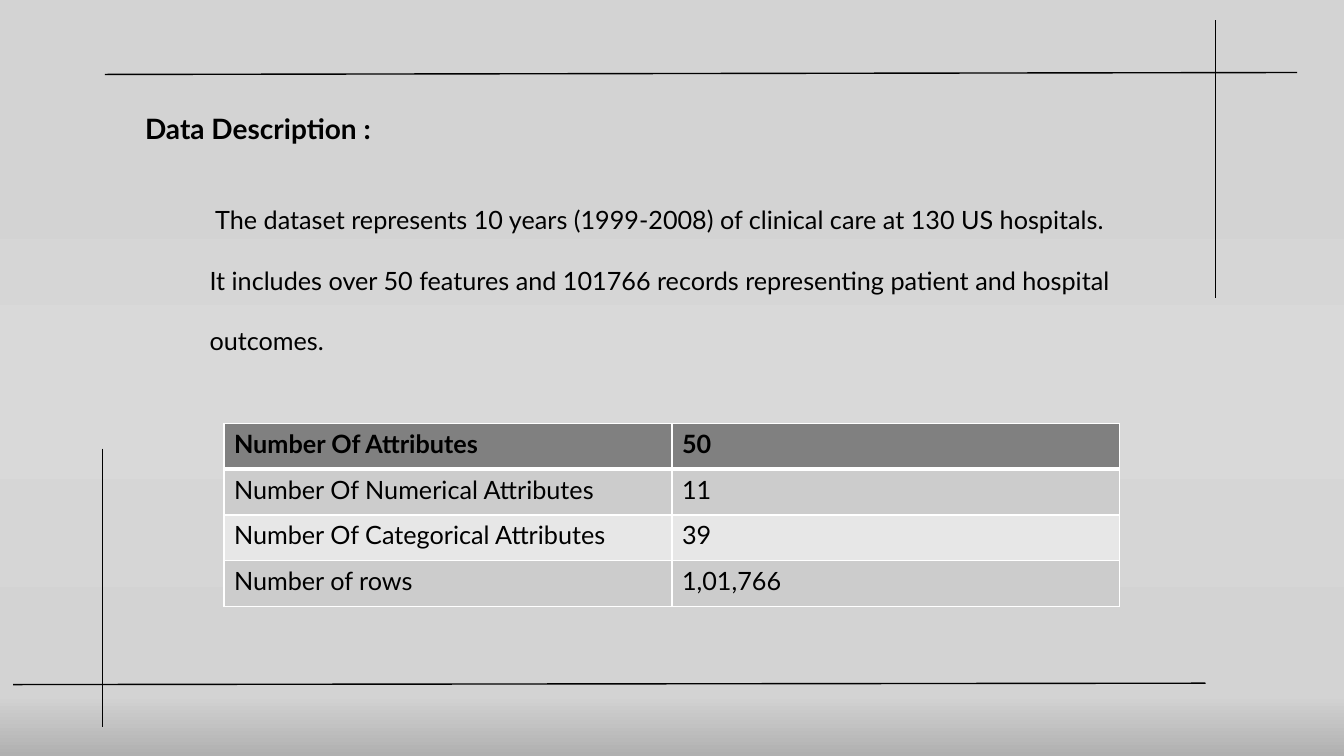
from lxml.etree import SubElement
from pptx import Presentation
from pptx.dml.color import RGBColor
from pptx.enum.shapes import MSO_CONNECTOR
from pptx.enum.text import MSO_AUTO_SIZE
from pptx.oxml.ns import qn
from pptx.util import Pt


def color(hex_code):
    return RGBColor.from_string(hex_code)


def write(frame, lines, size, bold=False, spacing=None):
    frame.text = "\n".join(lines)
    for paragraph in frame.paragraphs:
        paragraph.line_spacing = spacing
        paragraph.font.name = "Lato"
        paragraph.font.size = Pt(size)
        paragraph.font.bold = bold
        paragraph.font.color.rgb = color("000000")


deck = Presentation()
deck.slide_width, deck.slide_height = Pt(960), Pt(540)
slide = deck.slides.add_slide(deck.slide_layouts[6])

slide.background.fill.gradient()
backdrop = next(slide.element.iter(qn("a:gradFill")))
stops = backdrop.find(qn("a:gsLst"))
for stop in list(stops):
    stops.remove(stop)
for percent, shade in [(23, "D3D3D3"), (49, "D9D9D9"), (92, "D3D3D3"), (100, "B0B0B0")]:
    stop = SubElement(stops, qn("a:gs"), pos=str(percent * 1000))
    SubElement(stop, qn("a:srgbClr"), val=shade)
backdrop.find(qn("a:lin")).set("ang", "5400000")

heading = ["Data Description :"]
summary = [
    "\u00a0The dataset represents 10 years (1999-2008) of clinical care at 130 US hospitals. \u00a0",
    "It includes over 50 features and 101766 records representing patient and hospital ",
    "outcomes.",
]
for box, lines, size, bold, spacing in [
    ((96.5, 76.3, 183.6, 31.7), heading, 20, True, None),
    ((142.6, 121, 686.9, 181.4), summary, 18, False, 2.0),
]:
    frame = slide.shapes.add_textbox(*map(Pt, box)).text_frame
    frame.word_wrap = False
    frame.auto_size = MSO_AUTO_SIZE.SHAPE_TO_FIT_TEXT
    write(frame, lines, size, bold, spacing)

counts = [
    ("Number Of Attributes", "50"),
    ("Number Of Numerical Attributes", "11"),
    ("Number Of Categorical Attributes", "39"),
    ("Number of rows", "1,01,766"),
]
row_fills = ["808080", "CCCCCC", "E7E7E7", "CCCCCC"]
table = slide.shapes.add_table(
    len(counts), 2, Pt(160), Pt(302.4), Pt(640), Pt(131)
).table
for row, (values, row_fill) in enumerate(zip(counts, row_fills)):
    for column, value in enumerate(values):
        cell = table.cell(row, column)
        write(cell.text_frame, [value], 18, bold=row == 0)
        properties = cell._tc.get_or_add_tcPr()
        for side in "LRTB":
            heavy = (row, side) in [(0, "B"), (1, "T")]
            border = SubElement(
                properties, qn(f"a:ln{side}"), w=str(Pt(3 if heavy else 1))
            )
            SubElement(SubElement(border, qn("a:solidFill")), qn("a:srgbClr"), val="FFFFFF")
        cell.fill.solid()
        cell.fill.fore_color.rgb = color(row_fill)

for ends in [
    (74.9, 53.2, 926.6, 51.8),
    (868.3, 14.4, 868.3, 213.1),
    (73.4, 320.4, 73.4, 519.1),
    (9.4, 489, 861.1, 488),
]:
    rule = slide.shapes.add_connector(MSO_CONNECTOR.STRAIGHT, *map(Pt, ends))
    rule.line.width = Pt(1)
    rule.line.color.rgb = color("000000")
    SubElement(rule._element.spPr, qn("a:effectLst"))

deck.save("out.pptx")
